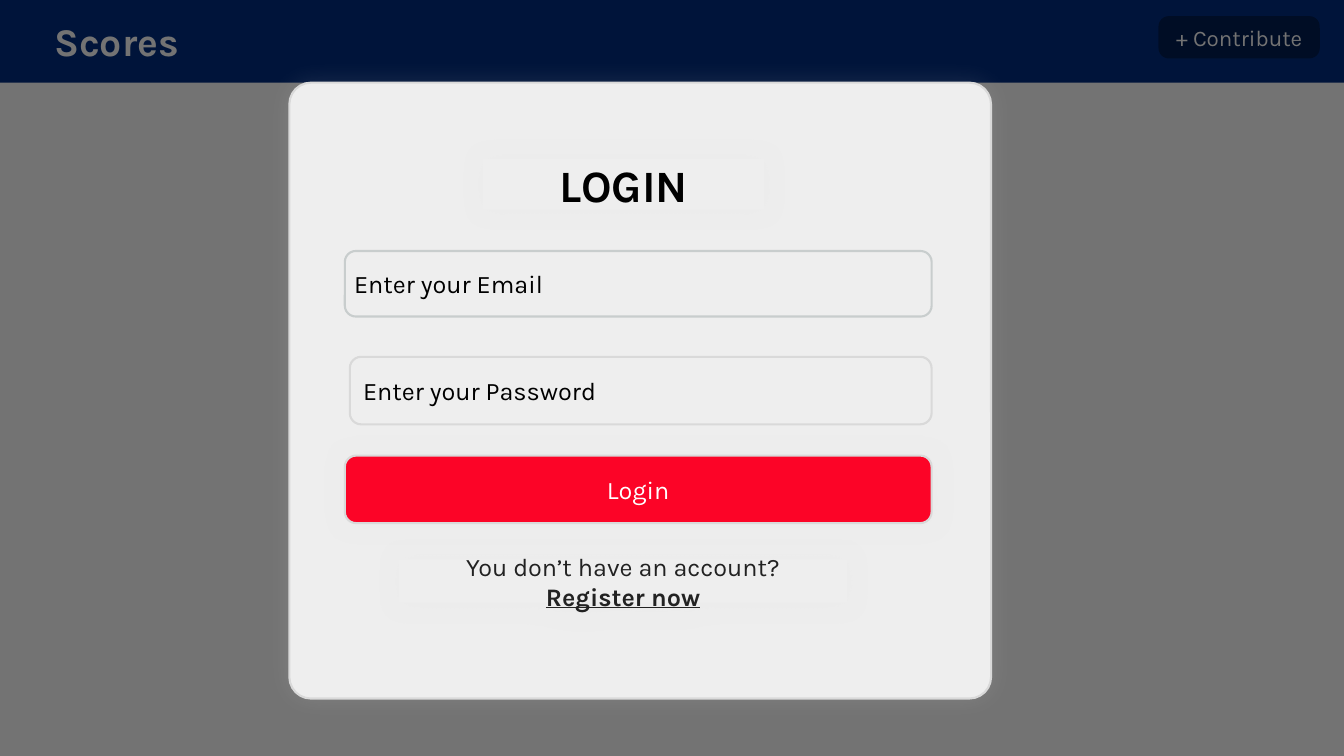
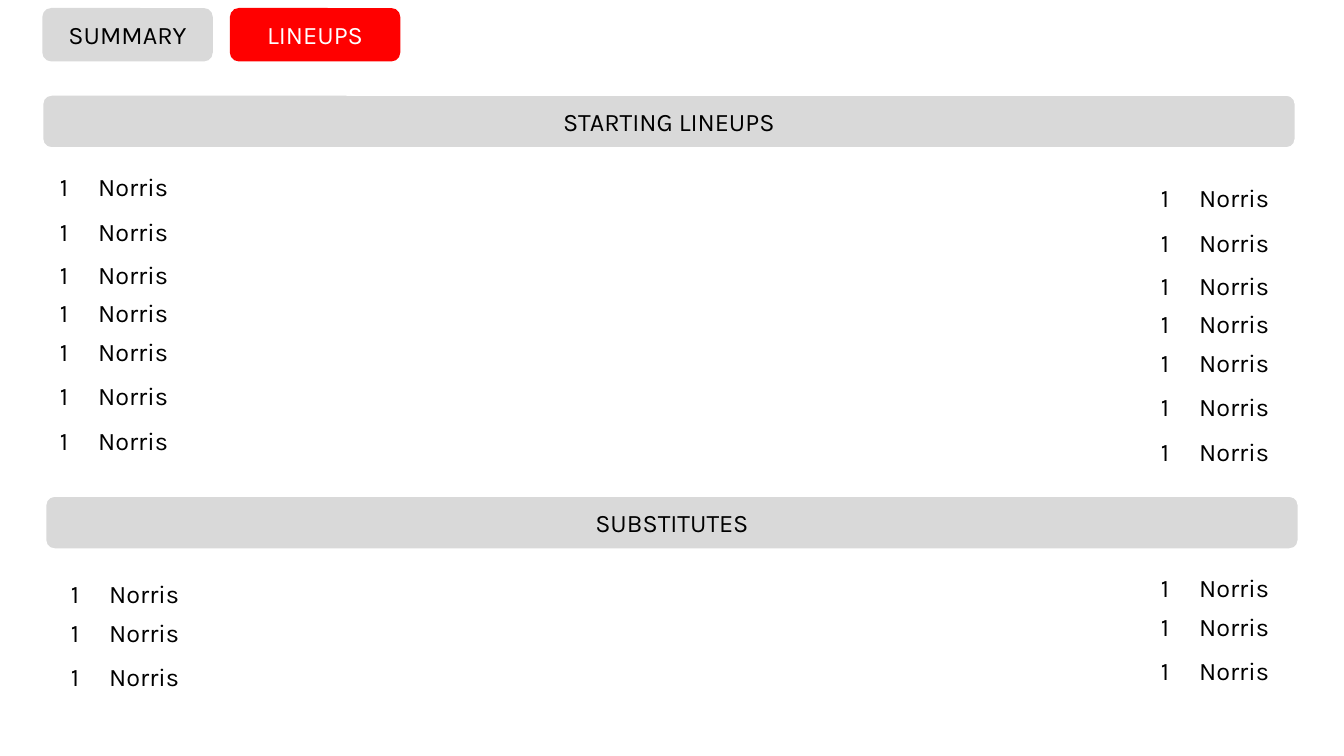
from dataclasses import dataclass

from lxml import etree
from pptx import Presentation
from pptx import util as u
from pptx.dml import color
from pptx.enum import shapes, text
from pptx.oxml import ns

FONT = "Karla"
WIDE, HIGH = 13.33, 7.5
HUES = {
    "white": "FFFFFF",
    "black": "000000",
    "navy": "002E82",
    "deep": "001E54",
    "card": "EEEEEE",
    "grey": "D9D9D9",
    "edge": "C8CDCD",
    "login": "FC0427",
    "red": "FF0000",
    "ink": "222222",
}
RECT = shapes.MSO_SHAPE.RECTANGLE
ROUND = shapes.MSO_SHAPE.ROUNDED_RECTANGLE
MID = text.PP_ALIGN.CENTER
LEFT = text.PP_ALIGN.LEFT


@dataclass
class Box:
    left: float
    top: float
    width: float
    height: float
    words: str = ""
    fill: str = ""
    line: str = ""
    ink: str = "black"
    size: int = 18
    bold: bool = False
    align: int = MID
    kind: int = ROUND
    curve: float = 0.167
    inset: float = 0.1
    glow: bool = False


@dataclass
class Squad:
    left: float
    top: float
    drops: tuple


def tint(name: str) -> color.RGBColor:
    return color.RGBColor.from_string(HUES[name])


def add_node(root, tag: str, **attrs):
    return etree.SubElement(root, ns.qn(tag), attrs)


def style(frame, box: Box) -> None:
    frame.text = box.words
    for para in frame.paragraphs:
        para.alignment = box.align
        for run in para.runs:
            run.font.name = FONT
            run.font.size = u.Pt(box.size)
            run.font.bold = box.bold
            run.font.color.rgb = tint(box.ink)


def add_glow(shape) -> None:
    root = shape._element.spPr.find(ns.qn("a:effectLst"))
    blur = add_node(root, "a:outerShdw", blurRad=str(u.Pt(17)), dist="0",
                    dir="0", algn="ctr", rotWithShape="0")
    shade = add_node(blur, "a:srgbClr", val=HUES["grey"])
    add_node(shade, "a:alpha", val="13000")


def draw(slide, box: Box):
    shape = slide.shapes.add_shape(
        box.kind, u.Inches(box.left), u.Inches(box.top),
        u.Inches(box.width), u.Inches(box.height))
    shape.shadow.inherit = False
    if box.kind == ROUND:
        shape.adjustments[0] = box.curve
    if box.fill:
        shape.fill.solid()
        shape.fill.fore_color.rgb = tint(box.fill)
    else:
        shape.fill.background()
    if box.line:
        shape.line.color.rgb = tint(box.line)
        shape.line.width = u.Pt(1.5)
    else:
        shape.line.fill.background()
    if box.glow:
        add_glow(shape)
    if box.words:
        frame = shape.text_frame
        frame.word_wrap = True
        frame.vertical_anchor = text.MSO_ANCHOR.MIDDLE
        frame.margin_left = u.Inches(box.inset)
        style(frame, box)
    return shape


def draw_brand(slide) -> None:
    box = Box(0.44, 0.12, 1.44, 0.57, "Scores", ink="white", size=28,
              bold=True, align=LEFT)
    label = slide.shapes.add_textbox(
        u.Inches(box.left), u.Inches(box.top),
        u.Inches(box.width), u.Inches(box.height))
    label.text_frame.word_wrap = False
    style(label.text_frame, box)


def draw_veil(slide) -> None:
    veil = draw(slide, Box(0, 0, WIDE, HIGH, fill="black", kind=RECT))
    shade = veil._element.spPr.find(ns.qn("a:solidFill"))[0]
    add_node(shade, "a:alpha", val="55000")


def draw_login(slide) -> None:
    draw(slide, Box(0, 0, WIDE, 0.82, fill="navy", kind=RECT))
    draw_brand(slide)
    draw(slide, Box(11.49, 0.16, 1.6, 0.42, "+ Contribute", fill="deep",
                    ink="white", size=16, curve=0.244))
    draw_veil(slide)
    for box in (
        Box(2.87, 0.82, 6.96, 6.11, fill="card", line="grey", curve=0.035,
            glow=True),
        Box(3.42, 2.49, 5.82, 0.65, "Enter your Email", line="edge",
            align=LEFT, inset=0.06),
        Box(3.47, 3.54, 5.77, 0.67, "Enter your Password", line="grey",
            align=LEFT),
        Box(4.79, 1.58, 2.79, 0.5, "LOGIN", fill="card", size=32, bold=True,
            kind=RECT, glow=True),
        Box(3.42, 4.52, 5.82, 0.67, "Login", fill="login", line="grey",
            ink="white", glow=True),
    ):
        draw(slide, box)
    prompt = draw(slide, Box(
        3.96, 5.55, 4.44, 0.43, "You don’t have an account?\nRegister now",
        fill="card", ink="ink", kind=RECT, glow=True))
    link = prompt.text_frame.paragraphs[1].runs[0].font
    link.bold = True
    link.underline = True


def draw_squad(slide, squad: Squad) -> None:
    for drop in squad.drops:
        row = draw(slide, Box(squad.left, squad.top + drop, 1.58, 0.35,
                              "Norris", fill="white", line="white", kind=RECT))
        props = row.text_frame.paragraphs[0]._p.get_or_add_pPr()
        props.set("marL", str(u.Inches(0.38)))
        props.set("indent", str(u.Inches(-0.38)))
        add_node(props, "a:buAutoNum", type="arabicPlain")


def draw_teams(slide) -> None:
    for box in (
        Box(2.28, 0.08, 1.69, 0.53, "LINEUPS", fill="red", ink="white"),
        Box(0.42, 0.08, 1.69, 0.53, "SUMMARY", fill="grey"),
        Box(0.42, 0.94, 12.43, 0.53, "STARTING LINEUPS", fill="grey",
            line="white"),
        Box(0.45, 4.92, 12.43, 0.53, "SUBSTITUTES", fill="grey",
            line="white"),
    ):
        draw(slide, box)
    first = (0, 0.45, 0.88, 1.25, 1.64, 2.08, 2.52)
    bench = (0, 0.39, 0.83)
    for squad in (
        Squad(0.34, 1.67, first),
        Squad(11.26, 1.78, first),
        Squad(0.45, 5.71, bench),
        Squad(11.26, 5.65, bench),
    ):
        draw_squad(slide, squad)


def main() -> None:
    deck = Presentation()
    deck.slide_width = u.Inches(WIDE)
    deck.slide_height = u.Inches(HIGH)
    for paint in (draw_login, draw_teams):
        paint(deck.slides.add_slide(deck.slide_layouts[6]))
    deck.save("out.pptx")


if __name__ == "__main__":
    main()
